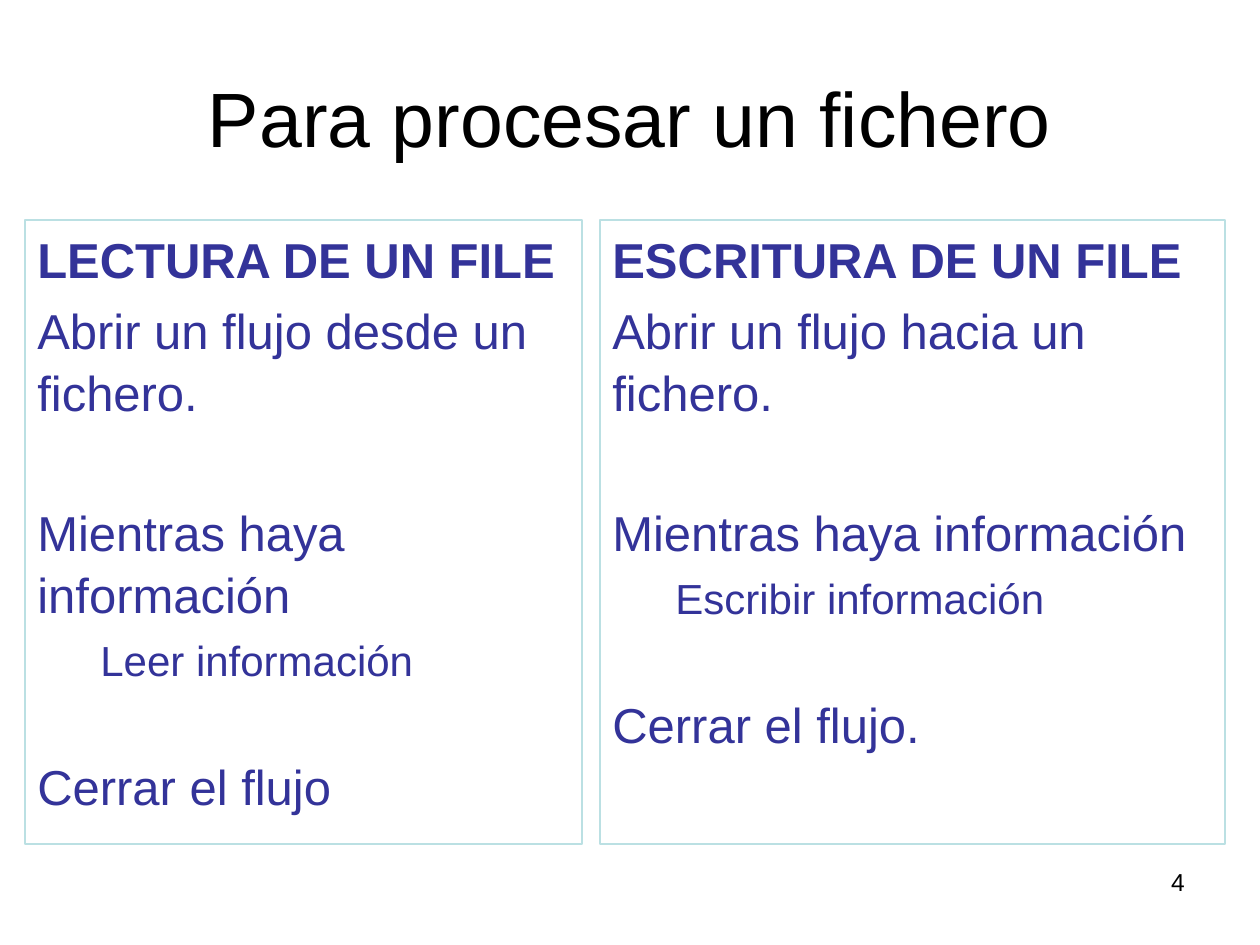
from dataclasses import dataclass
from pptx import Presentation
from pptx.dml.color import RGBColor
from pptx.enum.shapes import MSO_SHAPE
from pptx.enum.text import MSO_ANCHOR, PP_ALIGN
from pptx.util import Emu, Inches, Pt


@dataclass(frozen=True)
class Theme:
    font: str = "Arial"
    ink: str = "000000"
    body: str = "333399"
    edge: str = "BBE0E3"
    title: int = 44
    main: int = 28
    sub: int = 24
    note: int = 14


class Page:
    SCALE = Inches(1) // 126

    def __init__(self, deck, theme):
        self.theme = theme
        self.slide = deck.slides.add_slide(deck.slide_layouts[6])

    def area(self, *box):
        return [Emu(n * self.SCALE) for n in box]

    def style(self, para, size, color, bold=False):
        for run in para.runs:
            font = run.font
            font.name = self.theme.font
            font.size = Pt(size)
            font.bold = bold
            font.color.rgb = RGBColor.from_string(color)

    def text(self, box, words, size, align, anchor=MSO_ANCHOR.TOP):
        frame = self.slide.shapes.add_textbox(*self.area(*box)).text_frame
        frame.word_wrap = True
        frame.vertical_anchor = anchor
        frame.text = words
        para = frame.paragraphs[0]
        para.alignment = align
        self.style(para, size, self.theme.ink)

    def panel(self, box, steps):
        theme = self.theme
        shape = self.slide.shapes.add_shape(MSO_SHAPE.RECTANGLE, *self.area(*box))
        shape.shadow.inherit = False
        shape.fill.background()
        shape.line.color.rgb = RGBColor.from_string(theme.edge)
        shape.line.width = Pt(0.75)
        frame = shape.text_frame
        frame.word_wrap = True
        frame.vertical_anchor = MSO_ANCHOR.TOP
        heads, opens, loop, inner, close = range(5)
        gaps = {loop: theme.main, close: theme.sub}
        frame.text = "\n".join(steps)
        for i, para in enumerate(frame.paragraphs):
            size = theme.sub if i == inner else theme.main
            para.alignment = PP_ALIGN.LEFT
            para.line_spacing = 1.05
            para.space_before = Pt(round(0.2 * size + 1.4 * gaps.get(i, 0), 1))
            if i == inner:
                para.level = 1
                props = para._p.get_or_add_pPr()
                props.set("marL", str(Inches(0.5)))
                props.set("indent", "0")
            self.style(para, size, theme.body, i == heads)


deck = Presentation()
deck.slide_width, deck.slide_height = Inches(10), Inches(7.5)
theme = Theme()
page = Page(deck, theme)
page.text((63, 38, 1134, 157), "Para procesar un fichero", theme.title,
          PP_ALIGN.CENTER, MSO_ANCHOR.MIDDLE)
page.panel((25, 220, 557, 624), [
    "LECTURA DE UN FILE",
    "Abrir un flujo desde un fichero.",
    "Mientras haya información",
    "Leer información",
    "Cerrar el flujo",
])
page.panel((600, 220, 625, 624), [
    "ESCRITURA DE UN FILE",
    "Abrir un flujo hacia un fichero.",
    "Mientras haya información",
    "Escribir información",
    "Cerrar el flujo.",
])
page.text((903, 861, 294, 65), "4", theme.note, PP_ALIGN.RIGHT)
deck.save("out.pptx")
